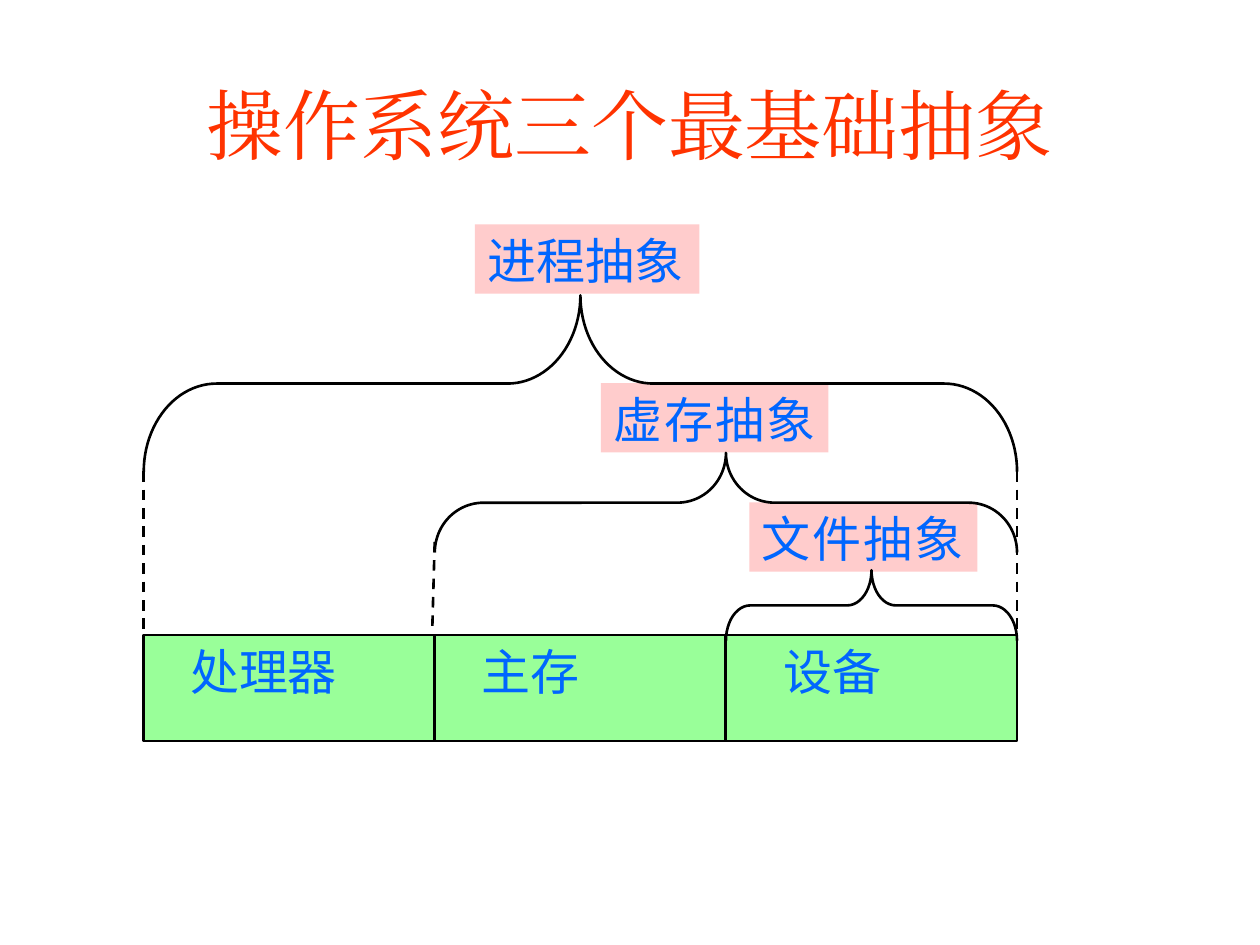
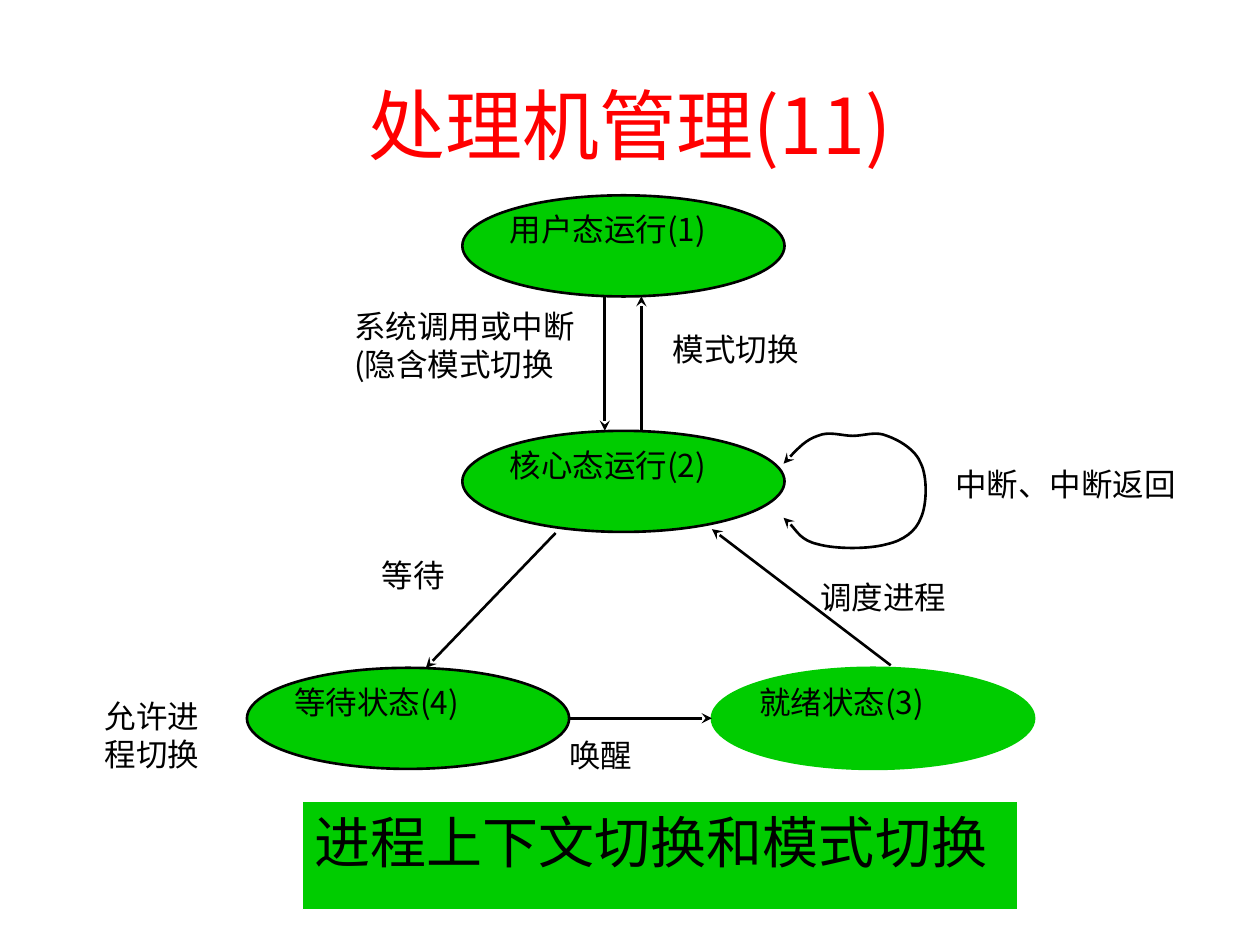
from dataclasses import dataclass

import pptx
import pptx.dml.color
import pptx.enum.dml
import pptx.enum.shapes
import pptx.enum.text
import pptx.oxml
import pptx.oxml.ns
import pptx.util

Pt = pptx.util.Pt
SHAPE = pptx.enum.shapes.MSO_SHAPE
ALIGN = pptx.enum.text.PP_ALIGN
ANCHOR = pptx.enum.text.MSO_ANCHOR
qn = pptx.oxml.ns.qn

SANS = "Noto Sans CJK SC"
SERIF = "Times New Roman"
LINE_WIDTH = 1.5
INSET = 7.2
COLORS = {
    "ink": "000000",
    "white": "FFFFFF",
    "orange": "FF3300",
    "red": "FF0000",
    "blue": "0066FF",
    "pink": "FFCCCC",
    "mint": "99FF99",
    "green": "00CC00",
}

# The three resources stand side by side; braces span whole slots.
SLOT_LEFT, SLOT_WIDTH, SLOT_COUNT = 82.1, 166.35, 3
RESOURCE_TOP, RESOURCE_HEIGHT = 362.9, 60.5
LABEL_HEIGHT = 39.6
STATE_WIDTH, STATE_HEIGHT = 184.1, 57.8


@dataclass
class Box:
    left: float
    top: float
    width: float
    height: float


@dataclass
class Style:
    size: float
    color: str
    font: str = SANS
    align: ALIGN = ALIGN.LEFT
    spacing: float = 0


@dataclass
class Abstraction:
    text: str
    box: Box
    spacing: float
    first_slot: int
    brace_top: float
    brace_height: float
    curl: float


@dataclass
class Resource:
    text: str
    indent: float


@dataclass
class State:
    text: str
    left: float
    top: float
    outline: str = "ink"


@dataclass
class Note:
    text: str
    box: Box


@dataclass
class Stroke:
    x1: float
    y1: float
    x2: float
    y2: float


ABSTRACTIONS = [
    Abstraction("文件抽象", Box(428.2, 287, 130.4, LABEL_HEIGHT), 1.2, 2, 325.8, 40.3, 0.344),
    Abstraction("虚存抽象", Box(343.4, 218.9, 130, LABEL_HEIGHT), 1.2, 1, 258.8, 56.9, 0.488),
    Abstraction("进程抽象", Box(271.4, 128.2, 128.2, LABEL_HEIGHT), 0, 0, 168.8, 100.8, 0.413),
]
RESOURCES = [Resource("处理器", 19.4), Resource("主存", 19.4), Resource("设备", 25.8)]
GUIDES = [
    Stroke(248.4, 309.6, 247, 360.7),
    Stroke(82.1, 269.3, 82.1, 360.7),
    Stroke(581.1, 269.3, 581.1, 360.7),
]

STATES = [
    State("核心态运行(2)", 264.2, 246.2),
    State("用户态运行(1)", 264.2, 111.6),
    State("等待状态(4)", 141.1, 381.6),
    State("就绪状态(3)", 406.8, 381.6, "green"),
]
TRANSITIONS = [
    Stroke(345.6, 169.2, 345.6, 246.2),
    Stroke(366.5, 246.2, 366.5, 169.2),
    Stroke(317.5, 304.6, 243.4, 381.6),
    Stroke(509, 380.2, 406.8, 302.4),
    Stroke(325.4, 410.4, 406.8, 410.4),
]
NOTES = [
    Note("系统调用或中断(隐含模式切换", Box(202.3, 175.7, 136.1, 90.7)),
    Note("唤醒", Box(325.4, 420.5, 75.6, 31)),
    Note("调度进程", Box(468.7, 330.5, 102.2, 43.9)),
    Note("中断、中断返回", Box(545.8, 265.7, 154.1, 38.2)),
    Note("等待", Box(218.2, 317.5, 71.3, 33.1)),
    Note("模式切换", Box(384.5, 188.6, 102.2, 38.9)),
    Note("允许进\n程切换", Box(59.8, 398.2, 82.1, 68.4)),
]
# A start point, then three Bézier points per curve.
INTERRUPT_LOOP = [
    (447.8, 265),
    (454.3, 257.8), (460.8, 251.3), (467.3, 249.1),
    (473.8, 246.2), (481, 249.1), (487.4, 249.1),
    (493.9, 249.1), (500.4, 246.2), (506.9, 249.1),
    (513.4, 251.3), (523.4, 257), (526.3, 265),
    (529.9, 272.2), (529.9, 288), (526.3, 295.9),
    (523.4, 303.8), (516.2, 308.9), (506.9, 311),
    (496.8, 313.9), (477.4, 313.9), (467.3, 311),
    (457.9, 308.9), (451.4, 298.1), (447.8, 295.9),
]


def rgb(name: str) -> pptx.dml.color.RGBColor:
    return pptx.dml.color.RGBColor.from_string(COLORS[name])


def write(shape, text: str, style: Style, inset: float = 0, anchor: ANCHOR = ANCHOR.TOP) -> None:
    frame = shape.text_frame
    frame.text = text
    frame.word_wrap = True
    frame.vertical_anchor = anchor
    frame.margin_left = frame.margin_right = Pt(inset)
    frame.margin_top = frame.margin_bottom = Pt(inset / 2)
    for paragraph in frame.paragraphs:
        paragraph.alignment = style.align
        for run in paragraph.runs:
            run.font.size = Pt(style.size)
            run.font.name = style.font
            run.font.color.rgb = rgb(style.color)
            properties = run.font._element
            east_asian = pptx.oxml.parse_xml(
                f'<a:ea {pptx.oxml.ns.nsdecls("a")} typeface="{style.font}"/>')
            properties.find(qn("a:latin")).addnext(east_asian)
            if style.spacing:
                properties.set("spc", str(round(style.spacing * 100)))


def place(box: Box) -> tuple:
    return Pt(box.left), Pt(box.top), Pt(box.width), Pt(box.height)


def set_outline(shape, color: str | None, width: float = LINE_WIDTH) -> None:
    if color is None:
        shape.line.fill.background()
    else:
        shape.line.color.rgb = rgb(color)
        shape.line.width = Pt(width)


def add_preset(slide, kind: SHAPE, box: Box, fill: str | None,
               outline: str | None, width: float = LINE_WIDTH):
    shape = slide.shapes.add_shape(kind, *place(box))
    shape.shadow.inherit = False
    if fill is None:
        shape.fill.background()
    else:
        shape.fill.solid()
        shape.fill.fore_color.rgb = rgb(fill)
    set_outline(shape, outline, width)
    return shape


def add_note(slide, note: Note, style: Style, anchor: ANCHOR = ANCHOR.TOP) -> None:
    write(slide.shapes.add_textbox(*place(note.box)), note.text, style, anchor=anchor)


def add_title(slide, text: str, color: str, font: str) -> None:
    title = Note(text, Box(54, 25.9, 612, 90))
    add_note(slide, title, Style(44, color, font, ALIGN.CENTER), ANCHOR.MIDDLE)


def add_arrowheads(shape, *ends: str) -> None:
    """Put stealth heads on the given ends, headEnd before tailEnd."""
    line = shape.line._get_or_add_ln()
    for end in ends:
        line.append(pptx.oxml.parse_xml(
            f'<a:{end} {pptx.oxml.ns.nsdecls("a")} type="stealth"/>'))


def add_stroke(slide, stroke: Stroke):
    connector = slide.shapes.add_connector(
        pptx.enum.shapes.MSO_CONNECTOR.STRAIGHT,
        Pt(stroke.x1), Pt(stroke.y1), Pt(stroke.x2), Pt(stroke.y2))
    set_outline(connector, "ink")
    connector._element.spPr.append(
        pptx.oxml.parse_xml(f'<a:effectLst {pptx.oxml.ns.nsdecls("a")}/>'))
    return connector


def add_brace(slide, item: Abstraction) -> None:
    """Draw an upward brace from the item's first slot to the last one."""
    span = SLOT_WIDTH * (SLOT_COUNT - item.first_slot)
    center_x = SLOT_LEFT + SLOT_WIDTH * item.first_slot + span / 2
    center_y = item.brace_top + item.brace_height / 2
    upright = Box(center_x - item.brace_height / 2, center_y - span / 2,
                  item.brace_height, span)
    brace = add_preset(slide, SHAPE.LEFT_BRACE, upright, None, "ink")
    brace.rotation = 90
    brace.adjustments[0] = item.curl
    brace.adjustments[1] = 0.5


def add_curve(slide, points: list):
    """Draw an open Bézier outline by joining line points in threes."""
    builder = slide.shapes.build_freeform(Pt(points[0][0]), Pt(points[0][1]))
    builder.add_line_segments([(Pt(x), Pt(y)) for x, y in points[1:]], close=False)
    curve = builder.convert_to_shape()
    outline = curve._element.spPr.find(".//" + qn("a:path"))
    segments = outline.findall(qn("a:lnTo"))
    for start in range(0, len(segments), 3):
        bezier = outline.makeelement(qn("a:cubicBezTo"), {})
        for segment in segments[start:start + 3]:
            bezier.append(segment[0])
            outline.remove(segment)
        outline.append(bezier)
    curve.shadow.inherit = False
    curve.fill.background()
    set_outline(curve, "ink")
    return curve


def build_abstractions(slide) -> None:
    add_title(slide, "操作系统三个最基础抽象", "orange", SERIF)
    for item in ABSTRACTIONS:
        label = add_preset(slide, SHAPE.RECTANGLE, item.box, "pink", None)
        write(label, item.text, Style(28, "blue", spacing=item.spacing), INSET)
        label.text_frame.margin_right = 0
    for slot, resource in enumerate(RESOURCES):
        box = Box(SLOT_LEFT + slot * SLOT_WIDTH, RESOURCE_TOP, SLOT_WIDTH, RESOURCE_HEIGHT)
        cell = add_preset(slide, SHAPE.RECTANGLE, box, "mint", "ink")
        write(cell, resource.text, Style(28, "blue"), INSET)
        cell.text_frame.margin_left = Pt(INSET + resource.indent)
    for item in ABSTRACTIONS:
        add_brace(slide, item)
    for guide in GUIDES:
        add_stroke(slide, guide).line.dash_style = pptx.enum.dml.MSO_LINE.DASH


def build_states(slide) -> None:
    body = Style(18, "ink")
    add_title(slide, "处理机管理(11)", "red", SANS)
    for state in STATES:
        box = Box(state.left, state.top, STATE_WIDTH, STATE_HEIGHT)
        write(add_preset(slide, SHAPE.OVAL, box, "green", state.outline), state.text, body)
    for transition in TRANSITIONS:
        add_arrowheads(add_stroke(slide, transition), "tailEnd")
    add_arrowheads(add_curve(slide, INTERRUPT_LOOP), "headEnd", "tailEnd")
    for note in NOTES:
        add_note(slide, note, body)
    summary = add_preset(slide, SHAPE.RECTANGLE, Box(172.8, 457.9, 409, 61.9),
                         "green", "white", 0.75)
    write(summary, "进程上下文切换和模式切换", Style(32, "ink"), INSET)


def main() -> None:
    deck = pptx.Presentation()
    deck.slide_width, deck.slide_height = Pt(720), Pt(540)
    for build in (build_abstractions, build_states):
        build(deck.slides.add_slide(deck.slide_layouts[6]))
    deck.save("out.pptx")


if __name__ == "__main__":
    main()
